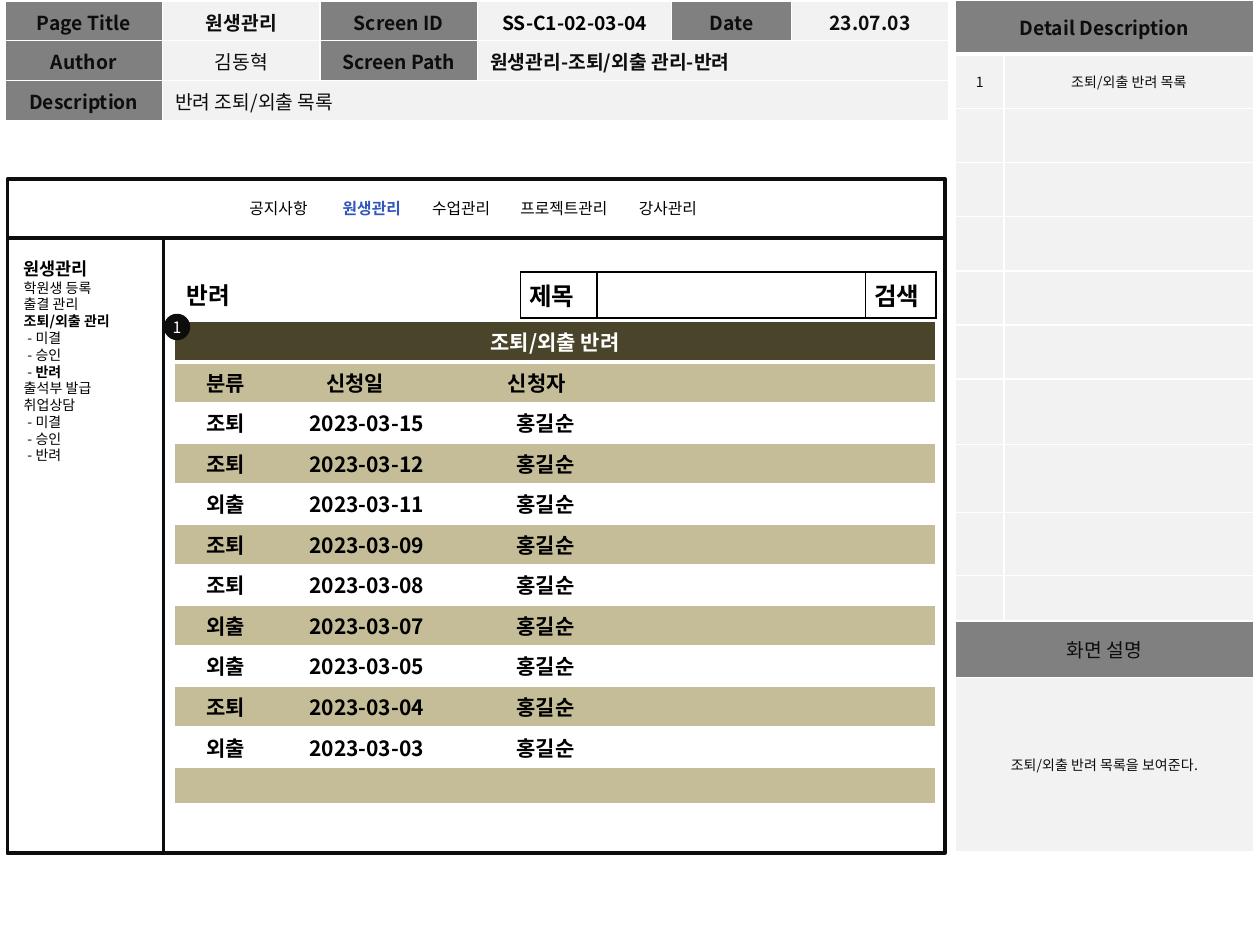
import dataclasses

import lxml.etree
import pptx
import pptx.dml.color
import pptx.enum.shapes
import pptx.enum.text
import pptx.oxml.ns
import pptx.util
from pptx.util import Inches

ALIGN = pptx.enum.text.PP_ALIGN
ANCHOR = pptx.enum.text.MSO_ANCHOR
SHAPE = pptx.enum.shapes.MSO_SHAPE


@dataclasses.dataclass(frozen=True)
class Theme:
    font: str = "Noto Sans CJK KR"
    black: str = "000000"
    ink: str = "0D0D0D"
    white: str = "FFFFFF"
    label: str = "808080"
    field: str = "F2F2F2"
    accent: str = "3057B9"
    banner: str = "4A452A"
    band: str = "C4BD97"
    small: float = 8
    menu: float = 9
    section: float = 10
    form: float = 11
    rows: float = 12
    title: float = 13.5
    search: float = 14


@dataclasses.dataclass(frozen=True)
class Box:
    left: float
    top: float
    width: float
    height: float

    def lengths(self):
        return [Inches(side) for side in (self.left, self.top, self.width, self.height)]


THEME = Theme()


def rgb(color):
    return pptx.dml.color.RGBColor.from_string(color)


def add_element(parent, tag, **attributes):
    return lxml.etree.SubElement(parent, pptx.oxml.ns.qn(tag), **attributes)


def add_span(para, text, size, color=THEME.black, bold=False):
    span = para.add_run()
    span.text = text
    span.font.size = pptx.util.Pt(size)
    span.font.bold = bold
    span.font.color.rgb = rgb(color)
    span.font.name = THEME.font
    add_element(span.font._element, "a:ea", typeface=THEME.font)


def add_tabs(para, stops, align):
    tabs = add_element(para._p.get_or_add_pPr(), "a:tabLst")
    for stop in stops:
        add_element(tabs, "a:tab", pos=str(Inches(stop)), algn=align)


def add_grid(page, box, columns, rows):
    grid = page.shapes.add_table(len(rows), len(columns), *box.lengths()).table
    grid.first_row = grid.horz_banding = False
    for column, width in zip(grid.columns, columns):
        column.width = Inches(width)
    for row, height in zip(grid.rows, rows):
        row.height = Inches(height)
    return grid


def style_cell(cell, fill, border=THEME.white, top=1, bottom=1):
    properties = cell._tc.get_or_add_tcPr()
    for side, width in (("L", 1), ("R", 1), ("T", top), ("B", bottom)):
        line = add_element(properties, "a:ln" + side, w=str(pptx.util.Pt(width)))
        add_element(add_element(line, "a:solidFill"), "a:srgbClr", val=border)
    cell.fill.solid()
    cell.fill.fore_color.rgb = rgb(fill)
    cell.vertical_anchor = ANCHOR.MIDDLE


def tighten(cell):
    cell.margin_left = cell.margin_right = Inches(0.07)
    cell.margin_top = cell.margin_bottom = Inches(0.04)


def write_cell(cell, text, size, color=THEME.ink, bold=False, align=ALIGN.CENTER):
    para = cell.text_frame.paragraphs[0]
    para.alignment = align
    if text:
        add_span(para, text, size, color, bold)
    else:
        add_element(para._p, "a:endParaRPr", sz=str(int(size * 100)))
    return para


def build_page_info(page, box):
    entries = [
        [("Page Title", "원생관리"), ("Screen ID", "SS-C1-02-03-04"), ("Date", "23.07.03")],
        [("Author", "김동혁"), ("Screen Path", "원생관리-조퇴/외출 관리-반려")],
        [("Description", "반려 조퇴/외출 목록")],
    ]
    grid = add_grid(page, box, [1.25, 1.25, 1.25, 1.54, 0.95, 1.25], [0.31, 0.32, 0.32])
    for row, pairs in enumerate(entries):
        for column in range(6):
            is_label = column % 2 == 0 and column < 2 * len(pairs)
            style_cell(grid.cell(row, column), THEME.label if is_label else THEME.field)
        for index, (label, value) in enumerate(pairs):
            wide = row > 0 and index == len(pairs) - 1
            target = grid.cell(row, 2 * index + 1)
            if wide:
                target.merge(grid.cell(row, 5))
            write_cell(grid.cell(row, 2 * index), label, THEME.form, bold=True)
            write_cell(target, value, THEME.form,
                       color=THEME.black if label == "Screen ID" else THEME.ink,
                       bold=label not in ("Author", "Description"),
                       align=ALIGN.LEFT if wide else ALIGN.CENTER)


def build_details(page, box):
    heights = [0.43] * 7 + [0.52, 0.54, 0.5, 0.36, 0.45, 1.38]
    full_width = {0: "Detail Description", 11: "화면 설명", 12: "조퇴/외출 반려 목록을 보여준다."}
    first_item = ("1", "조퇴/외출 반려 목록")
    grid = add_grid(page, box, [0.39, 1.98], heights)
    for row in range(len(heights)):
        heading = row in (0, 11)
        for column in range(2):
            cell = grid.cell(row, column)
            style_cell(cell, THEME.label if heading else THEME.field,
                       top=3 if row == 1 else 1, bottom=3 if row == 0 else 1)
            if row not in full_width:
                write_cell(cell, first_item[column] if row == 1 else "", THEME.small)
        if row in full_width:
            grid.cell(row, 0).merge(grid.cell(row, 1))
            write_cell(grid.cell(row, 0), full_width[row],
                       THEME.form if heading else THEME.small, bold=row == 0)


def build_frame(page, box, menu_height, side_width):
    body = Box(box.left, box.top + menu_height, box.width, box.height - menu_height)
    menu = Box(box.left, box.top, box.width, menu_height)
    side = Box(box.left, body.top, side_width, body.height)
    for part in (body, menu, side):
        outline = page.shapes.add_shape(SHAPE.RECTANGLE, *part.lengths())
        outline.shadow.inherit = False
        outline.fill.background()
        outline.line.color.rgb = rgb(THEME.ink)
        outline.line.width = pptx.util.Pt(2)


def build_menu(page, box):
    frame = page.shapes.add_textbox(*box.lengths()).text_frame
    frame.word_wrap = True
    frame.margin_left = Inches(0.35)
    para = frame.paragraphs[0]
    add_tabs(para, [0.74, 1.45, 2.15, 3.09], "l")
    add_span(para, "공지사항\t", THEME.menu)
    add_span(para, "원생관리", THEME.menu, THEME.accent, True)
    add_span(para, "\t수업관리\t프로젝트관리\t강사관리", THEME.menu)


def build_sidebar(page, box):
    entries = ["원생관리", "학원생 등록", "출결 관리", "조퇴/외출 관리", "- 미결", "- 승인",
               "- 반려", "출석부 발급", "취업상담", "- 미결", "- 승인", "- 반려"]
    current = (0, 3, 6)
    frame = page.shapes.add_textbox(*box.lengths()).text_frame
    frame.word_wrap = False
    for index, entry in enumerate(entries):
        para = frame.paragraphs[0] if index == 0 else frame.add_paragraph()
        if entry.startswith("- "):
            para._p.get_or_add_pPr().set("marL", str(Inches(0.03)))
            add_span(para, "- ", THEME.small)
            entry = entry[2:]
        add_span(para, entry, THEME.section if index == 0 else THEME.small,
                 bold=index in current)


def build_title(page, box):
    title = page.shapes.title
    title.left, title.top, title.width, title.height = box.lengths()
    frame = title.text_frame
    frame.auto_size = pptx.enum.text.MSO_AUTO_SIZE.NONE
    frame.vertical_anchor = ANCHOR.TOP
    frame.paragraphs[0].alignment = ALIGN.LEFT
    add_span(frame.paragraphs[0], "반려", THEME.title, bold=True)


def build_search(page, box):
    grid = add_grid(page, box, [0.61, 2.13, 0.56], [box.height])
    for column, text in enumerate(["제목", "", "검색"]):
        cell = grid.cell(0, column)
        style_cell(cell, THEME.white, border=THEME.black)
        tighten(cell)
        write_cell(cell, text, THEME.search, THEME.black, True, ALIGN.LEFT)


def build_requests(page, box):
    requests = [("조퇴", "15"), ("조퇴", "12"), ("외출", "11"), ("조퇴", "09"), ("조퇴", "08"),
                ("외출", "07"), ("외출", "05"), ("조퇴", "04"), ("외출", "03")]
    lines = ["조퇴/외출 반려", "\t분류\t신청일\t신청자"]
    lines += [f"\t{kind}\t2023-03-{day}\t홍길순" for kind, day in requests] + ["", ""]
    grid = add_grid(page, box, [box.width], [box.height / len(lines)] * len(lines))
    for row, text in enumerate(lines):
        cell = grid.cell(row, 0)
        banner = row == 0
        fill = THEME.banner if banner else THEME.band if row % 2 else THEME.white
        style_cell(cell, fill, top=3 if row == 1 else 1, bottom=3 if banner else 1)
        tighten(cell)
        para = write_cell(cell, text, THEME.rows, THEME.white if banner else THEME.black,
                          True, ALIGN.CENTER if banner else ALIGN.LEFT)
        if text and not banner:
            add_tabs(para, [0.34, 1.37, 2.81] if row == 1 else [0.34, 1.46, 2.88], "ctr")


def build_marker(page, box):
    marker = page.shapes.add_shape(SHAPE.OVAL, *box.lengths())
    marker.shadow.inherit = False
    marker.fill.solid()
    marker.fill.fore_color.rgb = rgb(THEME.ink)
    marker.line.fill.background()
    frame = marker.text_frame
    frame.word_wrap = False
    frame.margin_left = frame.margin_right = frame.margin_top = frame.margin_bottom = 0
    frame.vertical_anchor = ANCHOR.MIDDLE
    frame.paragraphs[0].alignment = ALIGN.CENTER
    add_span(frame.paragraphs[0], "1", THEME.menu, THEME.white)


def main():
    deck = pptx.Presentation()
    deck.slide_width, deck.slide_height = Inches(10), Inches(7.5)
    page = deck.slides.add_slide(deck.slide_layouts[5])
    build_title(page, Box(1.38, 2.18, 0.77, 0.33))
    build_search(page, Box(4.13, 2.16, 3.3, 0.36))
    build_requests(page, Box(1.38, 2.55, 6.05, 3.83))
    build_menu(page, Box(1.63, 1.53, 4.25, 0.25))
    build_page_info(page, Box(0.04, 0.01, 7.49, 0.95))
    build_details(page, Box(7.58, 0, 2.37, 6.77))
    build_frame(page, Box(0.06, 1.42, 7.44, 5.35), 0.47, 1.24)
    build_marker(page, Box(1.3, 2.49, 0.21, 0.21))
    build_sidebar(page, Box(0.09, 2, 0.96, 1.88))
    deck.save("out.pptx")


if __name__ == "__main__":
    main()
